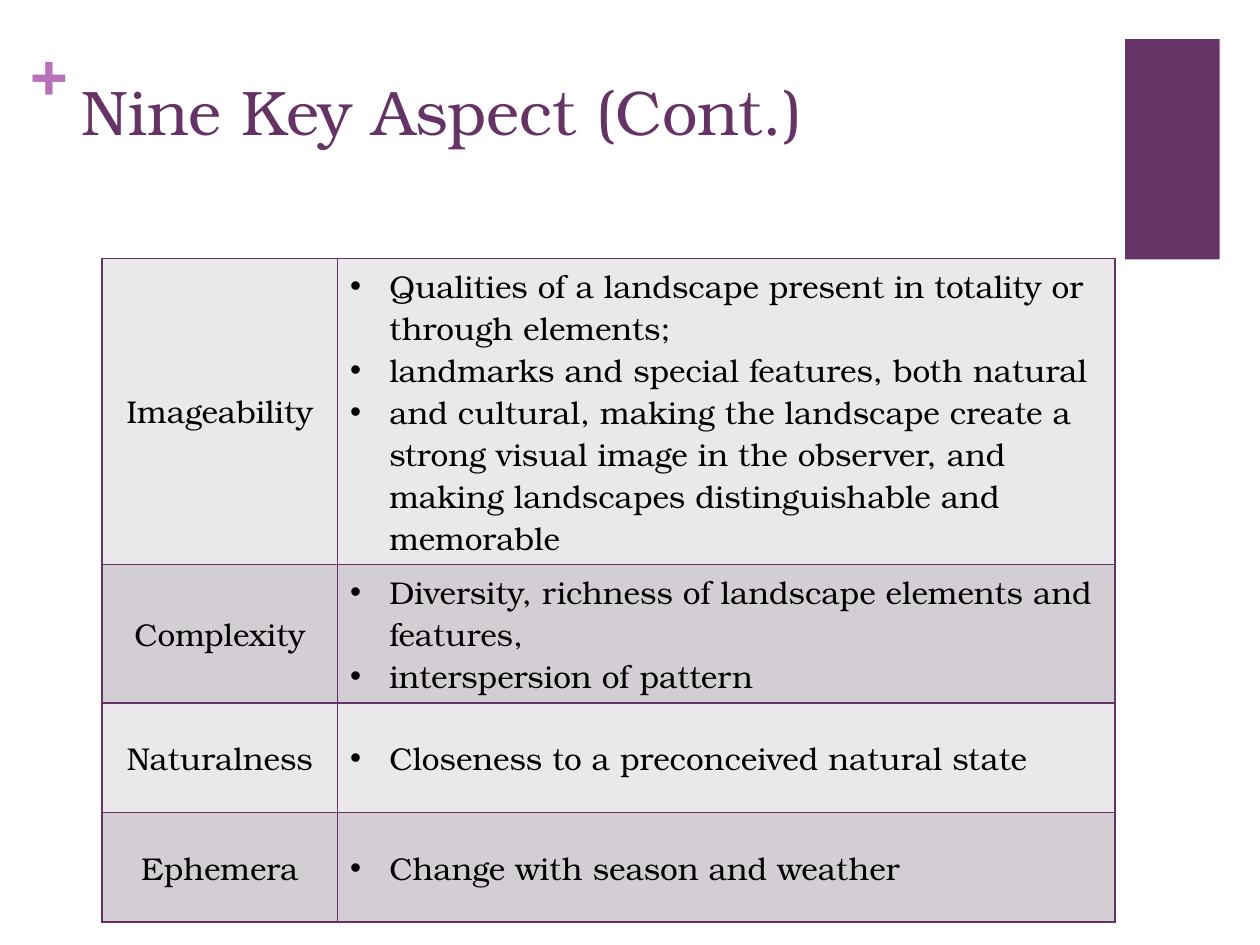
from lxml import etree
from pptx import Presentation
from pptx.dml.color import RGBColor
from pptx.enum import shapes, text
from pptx.oxml.ns import qn
from pptx.util import Inches, Pt

FONT = "TeX Gyre Bonum"
HEX = {"plum": "663366", "lilac": "B870B8", "ink": "000000",
       "light": "EAE8EA", "dark": "D3CED3"}
# Name, row height in inches, points
ASPECTS = [
    ("Imageability", 2.43, [
        "Qualities of a landscape present in totality or through elements;",
        "landmarks and special features, both natural",
        "and cultural, making the landscape create a strong visual image in "
        "the observer, and making landscapes distinguishable and memorable"]),
    ("Complexity", 1.1, [
        "Diversity, richness of landscape elements and features,",
        "interspersion of pattern"]),
    ("Naturalness", 0.87, ["Closeness to a preconceived natural state"]),
    ("Ephemera", 0.87, ["Change with season and weather"]),
]


def rgb(name):
    return RGBColor.from_string(HEX[name])


def style(para, size, color, bold=False):
    font = para.font
    font.name, font.size, font.bold = FONT, Pt(size), bold
    font.color.rgb = rgb(color)


def add_bar(slide, *box):
    bar = slide.shapes.add_shape(shapes.MSO_SHAPE.RECTANGLE, *map(Inches, box))
    bar.shadow.inherit = False
    bar.fill.solid()
    bar.fill.fore_color.rgb = rgb("plum")
    bar.line.fill.background()


def add_label(slide, words, box, color, bold=False, inset=None):
    frame = slide.shapes.add_textbox(*map(Inches, box)).text_frame
    frame.word_wrap = True
    if inset is not None:
        frame.margin_left = frame.margin_right = Inches(inset)
        frame.margin_top = frame.margin_bottom = Inches(inset)
    para = frame.paragraphs[0]
    para.text = words
    style(para, 36, color, bold)


def add_bullet(para):
    props = para._p.get_or_add_pPr()
    props.set("marL", str(Inches(0.31)))
    props.set("indent", str(-Inches(0.31)))
    etree.SubElement(props, qn("a:buFont"), typeface="Arial")
    etree.SubElement(props, qn("a:buChar"), char="•")


def add_border(cell):
    props = cell._tc.get_or_add_tcPr()
    for spot, side in enumerate(("lnL", "lnR", "lnT", "lnB")):
        line = etree.Element(qn("a:" + side), w=str(Pt(1)))
        fill = etree.SubElement(line, qn("a:solidFill"))
        etree.SubElement(fill, qn("a:srgbClr"), val=HEX["plum"])
        etree.SubElement(line, qn("a:prstDash"), val="solid")
        props.insert(spot, line)


def fill_cell(cell, lines, shade, bullets):
    cell.vertical_anchor = text.MSO_ANCHOR.MIDDLE
    cell.fill.solid()
    cell.fill.fore_color.rgb = rgb(shade)
    add_border(cell)
    frame = cell.text_frame
    frame.text = "\n".join(lines)
    for para in frame.paragraphs:
        if bullets:
            add_bullet(para)
        else:
            para.alignment = text.PP_ALIGN.CENTER
        style(para, 18, "ink")


def add_grid(slide, left, top, widths):
    total = sum(height for _, height, _ in ASPECTS)
    table = slide.shapes.add_table(
        len(ASPECTS), len(widths), Inches(left), Inches(top),
        Inches(sum(widths)), Inches(total)).table
    table.first_row = table.horz_banding = False
    for col, width in zip(table.columns, widths):
        col.width = Inches(width)
    for i, (name, height, points) in enumerate(ASPECTS):
        table.rows[i].height = Inches(height)
        shade = "dark" if i % 2 else "light"
        fill_cell(table.cell(i, 0), [name], shade, False)
        fill_cell(table.cell(i, 1), points, shade, True)


def main():
    deck = Presentation()
    deck.slide_width, deck.slide_height = Inches(10), Inches(7.5)
    slide = deck.slides.add_slide(deck.slide_layouts[6])
    # Corner decoration
    add_bar(slide, 8.93, 0.31, 0.75, 1.75)
    add_label(slide, "+", (0.24, 0.25, 0.29, 0.61), "lilac", True, 0)
    # Title
    add_label(slide, "Nine Key Aspect (Cont.)", (0.55, 0.53, 8.26, 1.22), "plum")
    # Aspect table
    add_grid(slide, 0.81, 2.05, (1.87, 6.17))
    deck.save("out.pptx")


if __name__ == "__main__":
    main()
